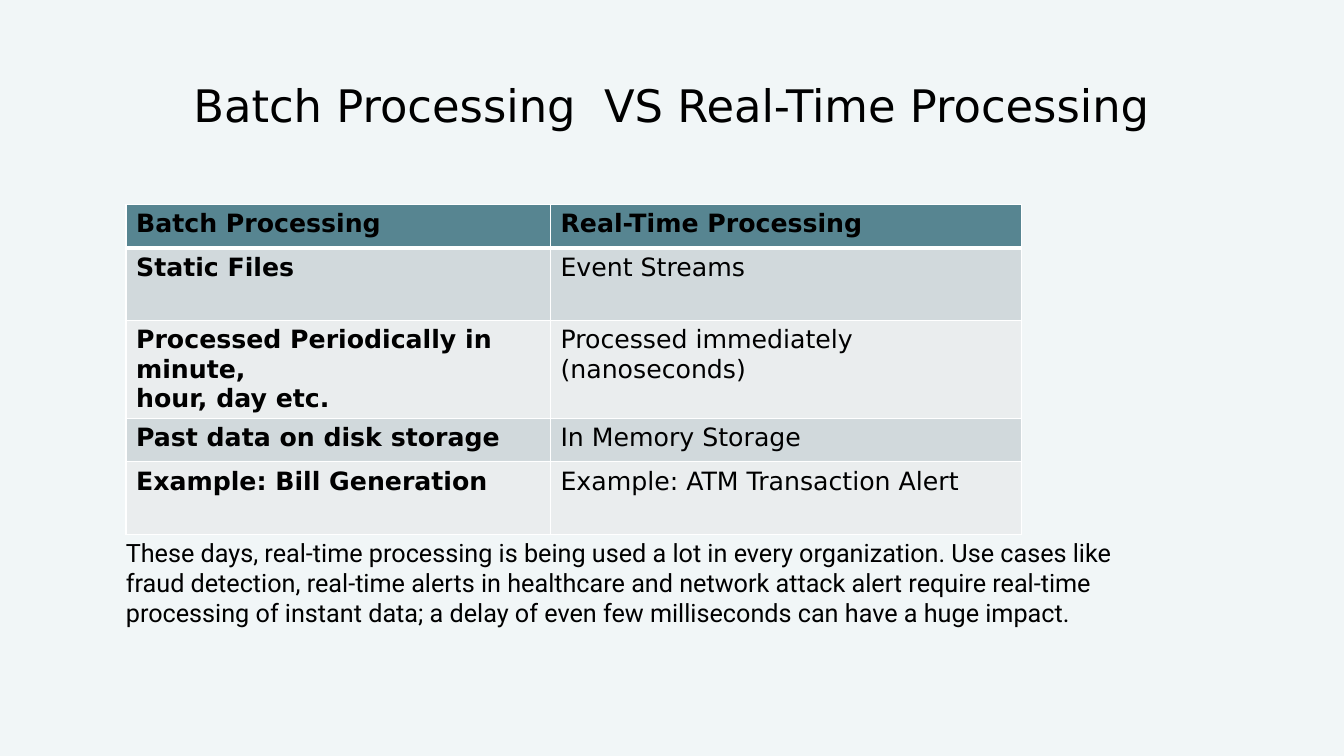
from lxml import etree
from pptx import Presentation
from pptx.dml.color import RGBColor
from pptx.enum import text
from pptx.oxml import ns
from pptx.util import Inches, Pt

HUES = {"back": "F1F6F7", "head": "578591", "dark": "D1D9DC",
        "light": "EAEDEE", "rule": "FFFFFF", "ink": "000000"}


def style(para, face, size, bold=False):
    font = para.font
    font.name, font.size, font.bold = face, Pt(size), bold
    font.color.rgb = RGBColor.from_string(HUES["ink"])


def edge(cell, side, width):
    """Draw one border of a table cell."""
    line = etree.SubElement(cell._tc.get_or_add_tcPr(), ns.qn(f"a:ln{side}"), w=str(Pt(width)))
    fill = etree.SubElement(line, ns.qn("a:solidFill"))
    etree.SubElement(fill, ns.qn("a:srgbClr"), val=HUES["rule"])


deck = Presentation()
deck.slide_width, deck.slide_height = Inches(13.33), Inches(7.5)
slide = deck.slides.add_slide(deck.slide_layouts[5])
slide.background.fill.solid()
slide.background.fill.fore_color.rgb = RGBColor.from_string(HUES["back"])

# Title
title = slide.shapes.title
title.left, title.top = Inches(0.76), Inches(0.43)
title.width, title.height = Inches(11.81), Inches(0.87)
frame = title.text_frame
frame.text = "Batch Processing  VS Real-Time Processing"
frame.vertical_anchor = text.MSO_ANCHOR.BOTTOM
frame.margin_left = frame.margin_right = frame.margin_top = frame.margin_bottom = 0
frame.paragraphs[0].alignment = text.PP_ALIGN.CENTER
style(frame.paragraphs[0], "DejaVu Sans", 32)

# Comparison table
rows = [
    ("Batch Processing", "Real-Time Processing", 0.43),
    ("Static Files", "Event Streams", 0.72),
    ("Processed Periodically in minute,\nhour, day etc.", "Processed immediately (nanoseconds)", 0.72),
    ("Past data on disk storage", "In Memory Storage", 0.43),
    ("Example: Bill Generation", "Example: ATM Transaction Alert", 0.72),
]
table = slide.shapes.add_table(len(rows), 2, Inches(1.25), Inches(2.03),
                               Inches(8.88), Inches(3.02)).table
for col, width in zip(table.columns, (4.21, 4.67)):
    col.width = Inches(width)
for r, (batch, live, height) in enumerate(rows):
    table.rows[r].height = Inches(height)
    hue = "head" if r == 0 else "dark" if r % 2 else "light"
    for c, words in enumerate((batch, live)):
        cell = table.cell(r, c)
        cell.text = words
        for para in cell.text_frame.paragraphs:
            style(para, "DejaVu Sans", 18, bold=r == 0 or c == 0)
        for side in "LRTB":
            thick = (r == 0 and side == "B") or (r == 1 and side == "T")
            edge(cell, side, 3 if thick else 1)
        cell.fill.solid()
        cell.fill.fore_color.rgb = RGBColor.from_string(HUES[hue])

# Closing note
note = slide.shapes.add_textbox(Inches(1.15), Inches(5.28), Inches(11.25), Inches(1.31)).text_frame
note.word_wrap = True
note.text = (
    "These days, real-time processing is being used a lot in every organization. Use cases like\n"
    "fraud detection, real-time alerts in healthcare and network attack alert require real-time\n"
    "processing of instant data; a delay of even few milliseconds can have a huge impact."
)
for para in note.paragraphs:
    style(para, "Roboto", 18)

deck.save("out.pptx")
